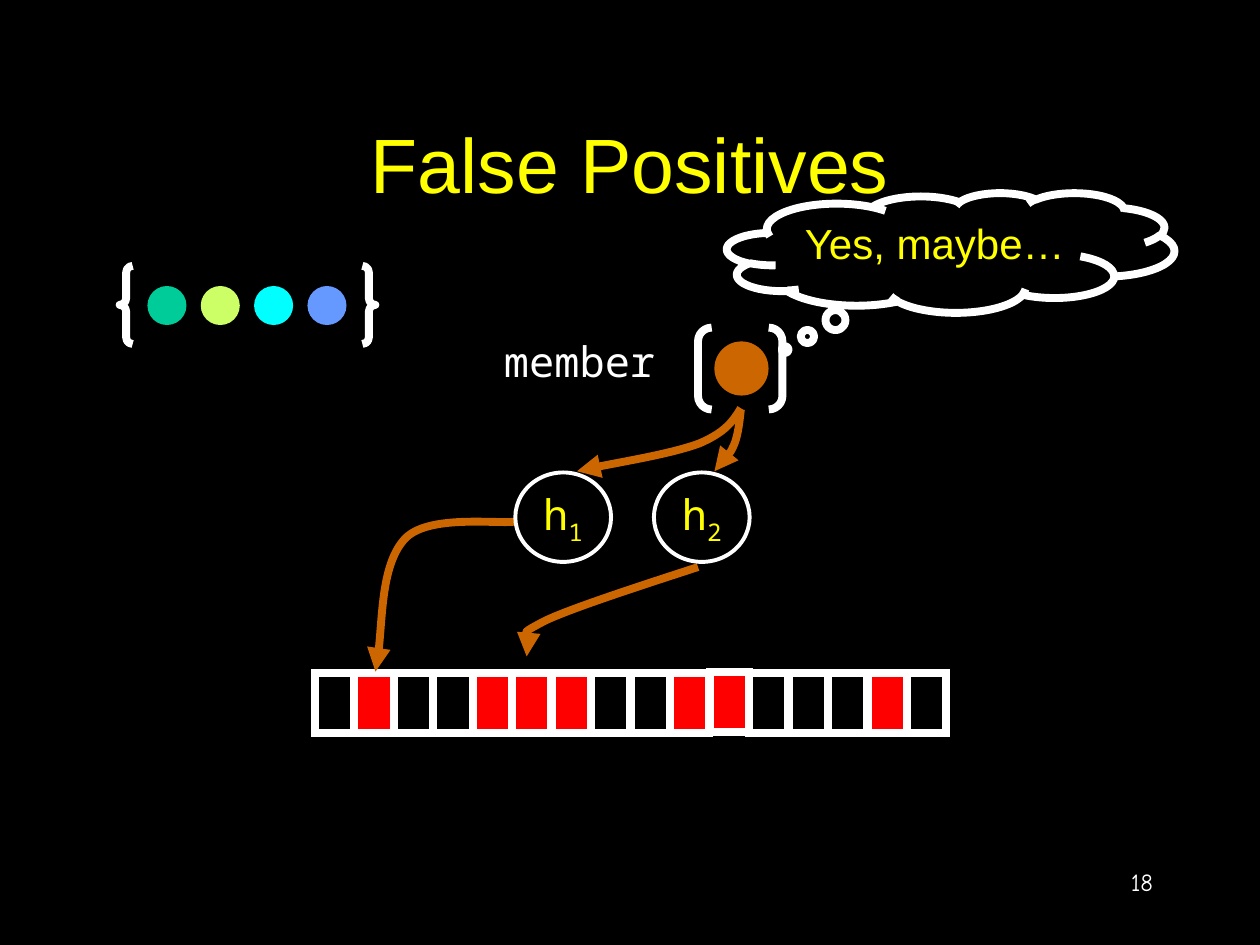
import dataclasses

import pptx
import pptx.dml.color
import pptx.enum.shapes
import pptx.enum.text
import pptx.oxml
import pptx.oxml.ns
import pptx.util

Inches = pptx.util.Inches
Pt = pptx.util.Pt
Shape = pptx.enum.shapes.MSO_SHAPE
Align = pptx.enum.text.PP_ALIGN
Anchor = pptx.enum.text.MSO_ANCHOR
qn = pptx.oxml.ns.qn
namespace = pptx.oxml.ns.nsdecls("a")
rgb = pptx.dml.color.RGBColor.from_string


@dataclasses.dataclass(frozen=True)
class Theme:
    black: str = "000000"
    white: str = "FFFFFF"
    yellow: str = "FFFF00"
    red: str = "FF0000"
    orange: str = "CC6600"
    members: tuple = ("00CC99", "CCFF66", "00FFFF", "6699FF")
    sans: str = "Arial"
    mono: str = "Noto Sans Mono"
    comic: str = "Comic Neue"
    title_size: int = 44
    label_size: int = 24
    number_size: int = 14
    thick: float = 4.5
    thin: float = 2.25


theme = Theme()


def add_figure(shapes, kind, box, fill=None, line=None, width=theme.thick):
    shape = shapes.add_shape(kind, *map(Inches, box))
    shape.shadow.inherit = False
    if fill:
        shape.fill.solid()
        shape.fill.fore_color.rgb = rgb(fill)
    else:
        shape.fill.background()
    if line:
        shape.line.color.rgb = rgb(line)
        shape.line.width = Pt(width)
    else:
        shape.line.fill.background()
    return shape


def write(shape, text, font, size, color, align=Align.CENTER, anchor=Anchor.TOP, wrap=True, subscript=""):
    frame = shape.text_frame
    frame.word_wrap = wrap
    frame.vertical_anchor = anchor
    paragraph = frame.paragraphs[0]
    paragraph.alignment = align
    for part in filter(None, (text, subscript)):
        run = paragraph.add_run()
        run.text = part
        run.font.name = font
        run.font.size = Pt(size)
        run.font.color.rgb = rgb(color)
    if subscript:
        run.font._element.set("baseline", "-25000")


presentation = pptx.Presentation()
presentation.slide_width = Inches(10)
presentation.slide_height = Inches(7.5)
slide = presentation.slides.add_slide(presentation.slide_layouts[5])
slide.background.fill.solid()
slide.background.fill.fore_color.rgb = rgb(theme.black)
shapes = slide.shapes

# Title and slide number
title = shapes.title
title.left, title.top, title.width, title.height = map(Inches, (0.75, 0.67, 8.5, 1.25))
write(title, "False Positives", theme.sans, theme.title_size, theme.yellow, anchor=Anchor.MIDDLE)
number = shapes.add_textbox(*map(Inches, (7.17, 6.83, 2.08, 0.5)))
write(number, "18", theme.comic, theme.number_size, theme.white, align=Align.RIGHT)

# Queried element
add_figure(shapes, Shape.OVAL, (5.67, 2.71, 0.43, 0.43), theme.orange)
brackets = add_figure(shapes, Shape.DOUBLE_BRACKET, (5.54, 2.6, 0.67, 0.65), line=theme.white)
member = shapes.add_textbox(*map(Inches, (3.67, 2.61, 1.86, 0.63)))
write(member, "member", theme.mono, theme.label_size, theme.white, wrap=False)

# Answer cloud
cloud = add_figure(shapes, Shape.CLOUD_CALLOUT, (5.77, 1.53, 3.55, 0.95), theme.black, theme.white)
cloud.adjustments[0] = -0.37
cloud.adjustments[1] = 0.81
cloud_color = cloud.fill._xPr.find(qn("a:solidFill")).find(qn("a:srgbClr"))
cloud_color.append(pptx.oxml.parse_xml(f'<a:alpha {namespace} val="85000"/>'))
write(cloud, "Yes, maybe…", theme.sans, theme.label_size, theme.yellow)

# Stored set
stored_set = shapes.add_group_shape().shapes
member_pitch = 1.27 / 3
for index, color in enumerate(theme.members):
    add_figure(stored_set, Shape.OVAL, (1.17 + member_pitch * index, 2.27, 0.31, 0.31), color)
braces = add_figure(stored_set, Shape.DOUBLE_BRACE, (0.95, 2.11, 2.03, 0.62), line=theme.white)

# Bit array, with the set bits in front
set_bits = (1, 4, 5, 6, 9, 10, 14)
clear_bits = [index for index in range(16) if index not in set_bits]
bit_pitch = 4.7 / 15
clear_group = shapes.add_group_shape().shapes
for parent, bits, color in ((clear_group, clear_bits, theme.black), (shapes, set_bits, theme.red)):
    for index in bits:
        top = 5.33 if index == 10 else 5.34
        box = (2.5 + bit_pitch * index, top, 0.31, 0.48)
        cell = add_figure(parent, Shape.RECTANGLE, box, color, theme.white)
        cell.line._get_or_add_ln().append(pptx.oxml.parse_xml(f'<a:miter {namespace} lim="800000"/>'))

# Curved arrows: a start point, then two Bézier segments (two controls and an end each)
arrows = (
    # element to h2
    [(5.88, 3.25), (5.87, 3.34), (5.86, 3.44), (5.83, 3.52), (5.79, 3.61), (5.7, 3.71), (5.67, 3.74)],
    # element to h1
    [(5.88, 3.24), (5.82, 3.34), (5.76, 3.43), (5.55, 3.52), (5.33, 3.6), (4.74, 3.7), (4.58, 3.74)],
    # h1 to its bit
    [(4.09, 4.14), (3.94, 4.16), (3.39, 4.08), (3.21, 4.28), (3.03, 4.48), (3.03, 5.11), (2.98, 5.33)],
    # h2 to its bit
    [(5.54, 4.5), (5.33, 4.57), (4.54, 4.82), (4.32, 4.93), (4.09, 5.05), (4.21, 5.15), (4.18, 5.21)],
)
for start, *points in arrows:
    builder = shapes.build_freeform(*map(Inches, start))
    builder.add_line_segments([tuple(map(Inches, point)) for point in points], close=False)
    arrow = builder.convert_to_shape()
    # Join every three line points into one cubic curve
    lines = list(arrow._element.iter(qn("a:lnTo")))
    for first in range(0, len(lines), 3):
        curve = pptx.oxml.parse_xml(f"<a:cubicBezTo {namespace}/>")
        lines[first].addprevious(curve)
        for line in lines[first:first + 3]:
            curve.append(line[0])
            line.getparent().remove(line)
    arrow.shadow.inherit = False
    arrow.fill.background()
    arrow.line.color.rgb = rgb(theme.orange)
    arrow.line.width = Pt(theme.thick)
    arrow.line._get_or_add_ln().append(pptx.oxml.parse_xml(f'<a:tailEnd {namespace} type="triangle"/>'))

# Hash functions
hash_functions = shapes.add_group_shape().shapes
for subscript, left in (("2", 5.19), ("1", 4.09)):
    circle = add_figure(hash_functions, Shape.OVAL, (left, 3.75, 0.76, 0.71), line=theme.white, width=theme.thin)
    write(circle, "h", theme.mono, theme.label_size, theme.yellow,
          anchor=Anchor.MIDDLE, wrap=False, subscript=subscript)

presentation.save("out.pptx")
